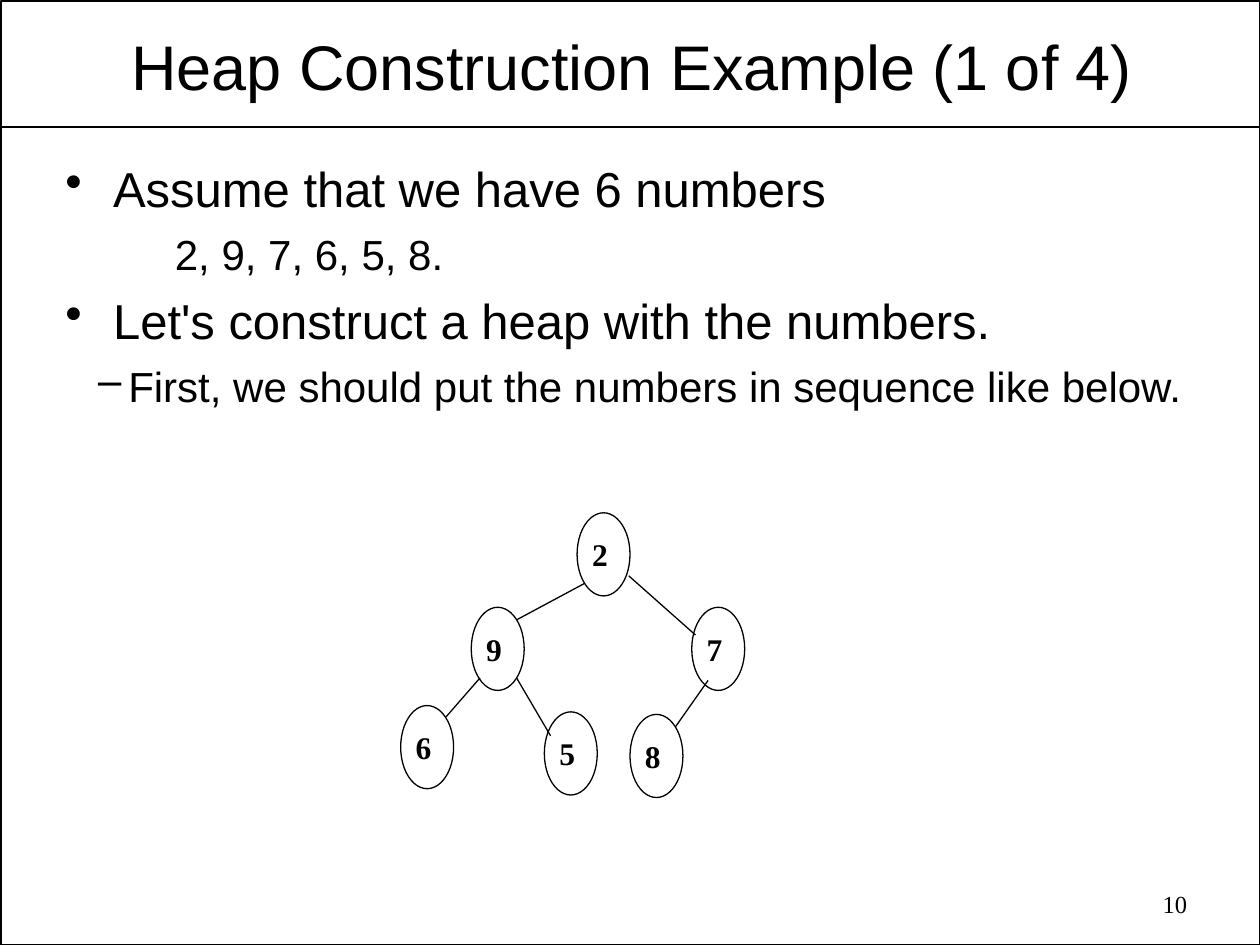
import dataclasses
import typing

import pptx
import pptx.dml.color
import pptx.enum.shapes
import pptx.enum.text
import pptx.oxml.ns
import pptx.util
from lxml import etree

Inches = pptx.util.Inches
Pt = pptx.util.Pt
Align = pptx.enum.text.PP_ALIGN
Anchor = pptx.enum.text.MSO_ANCHOR
Shape = pptx.enum.shapes.MSO_SHAPE


@dataclasses.dataclass(frozen=True)
class Theme:
    """Colours, fonts, type sizes and line widths."""
    ink: pptx.dml.color.RGBColor = pptx.dml.color.RGBColor(0, 0, 0)
    sans: str = "Arial"
    serif: str = "Times New Roman"
    title: int = 36
    point: int = 28
    detail: int = 24
    node: int = 18
    number: int = 14
    frame_line: float = 0.99
    tree_line: float = 0.74


class Area(typing.NamedTuple):
    """A rectangle in inches."""
    left: float
    top: float
    width: float
    height: float

    def lengths(self) -> list[pptx.util.Length]:
        """Give the rectangle as slide lengths."""
        return [Inches(value) for value in self]


class Item(typing.NamedTuple):
    """A body paragraph with its margin and hanging indent in inches."""
    text: str
    size: int
    before: int
    margin: float
    indent: float
    bullet: str = ""


class Node(typing.NamedTuple):
    """A tree node placed by the corner of its ellipse."""
    label: str
    left: float
    top: float


class Edge(typing.NamedTuple):
    """A straight line between two points in inches."""
    x1: float
    y1: float
    x2: float
    y2: float


THEME = Theme()
ITEMS = [
    Item("Assume that we have 6 numbers", THEME.point, 7, 0.38, -0.38, "•"),
    Item("2, 9, 7, 6, 5, 8.", THEME.detail, 6, 0.87, 0),
    Item("Let's construct a heap with the numbers.", THEME.point, 7, 0.38, -0.38, "•"),
    Item("First, we should put the numbers in sequence like below.",
         THEME.detail, 6, 0.5, -0.24, "–"),
]
NODES = [
    Node("2", 4.58, 4.07), Node("9", 3.74, 4.82), Node("7", 5.49, 4.82),
    Node("6", 3.18, 5.6), Node("5", 4.32, 5.65), Node("8", 5, 5.67),
]
TREE_EDGES = [
    Edge(4.64, 4.63, 4.1, 4.92), Edge(5.52, 5.04, 4.99, 4.57),
    Edge(3.81, 5.38, 3.54, 5.69), Edge(4.37, 5.84, 4.1, 5.38),
    Edge(5.62, 5.4, 5.36, 5.77),
]


def style_font(paragraph, name: str, size: int, bold: bool = False) -> None:
    """Set the font of a whole paragraph."""
    paragraph.font.name = name
    paragraph.font.size = Pt(size)
    paragraph.font.bold = bold
    paragraph.font.color.rgb = THEME.ink


def add_box(shapes, area: Area, inset_x: float, inset_y: float, wrap: bool = True):
    """Add an empty text box and return its text frame."""
    frame = shapes.add_textbox(*area.lengths()).text_frame
    frame.word_wrap = wrap
    frame.margin_left = frame.margin_right = Inches(inset_x)
    frame.margin_top = frame.margin_bottom = Inches(inset_y)
    return frame


def add_outline(shapes, kind, area: Area, width: float) -> None:
    """Add an unfilled shape with a thin outline."""
    shape = shapes.add_shape(kind, *area.lengths())
    shape.shadow.inherit = False
    shape.fill.background()
    shape.line.color.rgb = THEME.ink
    shape.line.width = Pt(width)


def add_edge(shapes, edge: Edge, width: float) -> None:
    """Add a straight line without a shadow."""
    line = shapes.add_connector(pptx.enum.shapes.MSO_CONNECTOR.STRAIGHT,
                                *[Inches(value) for value in edge])
    line.line.color.rgb = THEME.ink
    line.line.width = Pt(width)
    etree.SubElement(line._element.spPr, pptx.oxml.ns.qn("a:effectLst"))


def add_node(shapes, node: Node) -> None:
    """Add a group with a node's label and ellipse."""
    group = shapes.add_group_shape()
    label = Area(node.left + 0.02, node.top + 0.13, 0.32, 0.4)
    paragraph = add_box(group.shapes, label, 0.1, 0.05, wrap=False).paragraphs[0]
    paragraph.text = node.label
    style_font(paragraph, THEME.serif, THEME.node, bold=True)
    add_outline(group.shapes, Shape.OVAL, Area(node.left, node.top, 0.42, 0.66),
                THEME.tree_line)


def add_body(shapes, items: list[Item]) -> None:
    """Add the bulleted text."""
    frame = add_box(shapes, Area(0.42, 1.26, 9.17, 2.5), 0.1, 0)
    for index, item in enumerate(items):
        paragraph = frame.add_paragraph() if index else frame.paragraphs[0]
        paragraph.text = item.text
        paragraph.level = 0 if item.size == THEME.point else 1
        paragraph.space_before = Pt(item.before)
        style_font(paragraph, THEME.sans, item.size)
        properties = paragraph._p.get_or_add_pPr()
        properties.set("marL", str(Inches(item.margin)))
        properties.set("indent", str(Inches(item.indent)))
        if item.bullet:
            bullet = etree.Element(pptx.oxml.ns.qn("a:buChar"), char=item.bullet)
            properties.find(pptx.oxml.ns.qn("a:defRPr")).addprevious(bullet)


def main() -> None:
    """Build the slide and save the deck."""
    deck = pptx.Presentation()
    deck.slide_width, deck.slide_height = Inches(10), Inches(7.5)
    shapes = deck.slides.add_slide(deck.slide_layouts[6]).shapes

    add_outline(shapes, Shape.RECTANGLE, Area(0.01, 0.01, 9.99, 7.49), THEME.frame_line)
    add_edge(shapes, Edge(0.01, 1.01, 9.99, 1.01), THEME.frame_line)

    title = add_box(shapes, Area(0.53, 0.19, 8.97, 0.66), 0.07, 0.03)
    title.vertical_anchor = Anchor.MIDDLE
    title.paragraphs[0].text = "Heap Construction Example (1 of 4)"
    title.paragraphs[0].alignment = Align.CENTER
    style_font(title.paragraphs[0], THEME.sans, THEME.title)

    add_body(shapes, ITEMS)

    number = add_box(shapes, Area(7.18, 7.01, 2.34, 0.36), 0.1, 0.05)
    number.paragraphs[0].text = "10"
    number.paragraphs[0].alignment = Align.RIGHT
    style_font(number.paragraphs[0], THEME.serif, THEME.number)

    for edge in TREE_EDGES:
        add_edge(shapes, edge, THEME.tree_line)
    for node in NODES:
        add_node(shapes, node)
    deck.save("out.pptx")


main()
